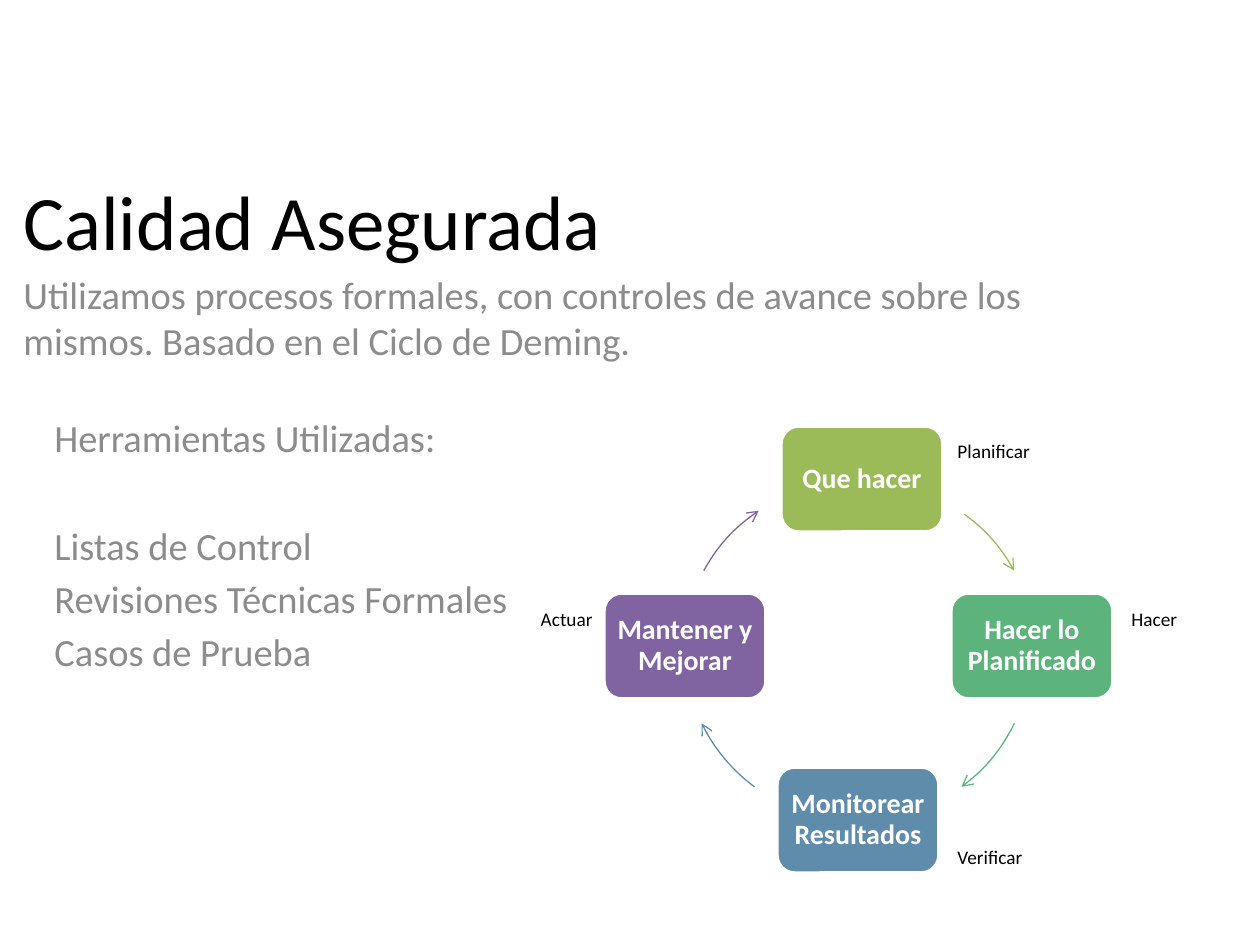
from lxml.etree import SubElement
from pptx import Presentation
from pptx.dml.color import RGBColor
from pptx.enum.shapes import MSO_SHAPE
from pptx.enum.text import MSO_ANCHOR, PP_ALIGN
from pptx.oxml.ns import qn
from pptx.util import Emu, Pt

PX_PER_INCH = 126
FONT = "Calibri"

BLACK = RGBColor(0x00, 0x00, 0x00)
WHITE = RGBColor(0xFF, 0xFF, 0xFF)
GRAY = RGBColor(0x8C, 0x8C, 0x8C)
GREEN = RGBColor(0x9B, 0xBB, 0x59)
TEAL = RGBColor(0x5C, 0xB3, 0x7C)
BLUE = RGBColor(0x60, 0x8C, 0xAB)
PURPLE = RGBColor(0x80, 0x64, 0xA2)

STEP_WIDTH, STEP_HEIGHT = 162, 106
STEP_INSET = 8
ARC_RADIUS = 174
LABEL_WIDTH, LABEL_HEIGHT = 134, 37

# text, left, top, colour
STEPS = [
    ("Que hacer", 781, 426, GREEN),
    ("Hacer lo Planificado", 951, 593, TEAL),
    ("Monitorear Resultados", 777, 767, BLUE),
    ("Mantener y Mejorar", 604, 593, PURPLE),
]
# centre x, centre y, start and end in degrees clockwise from the right, colour
ARCS = [
    (862, 655, 306, 331, GREEN),
    (858, 647, 26, 53.5, TEAL),
    (858, 647, 126.5, 154, BLUE),
    (856, 655, 209, 236, PURPLE),
]
# text, left, top, alignment
LABELS = [
    ("Planificar", 945, 433, PP_ALIGN.LEFT),
    ("Hacer", 1119, 601, PP_ALIGN.LEFT),
    ("Verificar", 945, 839, PP_ALIGN.LEFT),
    ("Actuar", 471, 601, PP_ALIGN.RIGHT),
]
# text, space before in points
TOOLS = [
    ("Herramientas Utilizadas:", 0),
    ("Listas de Control", 35),
    ("Revisiones Técnicas Formales", 4),
    ("Casos de Prueba", 4),
]


def px(*lengths):
    return [Emu(round(length * 914400 / PX_PER_INCH)) for length in lengths]


def add_span(para, text, size, color, bold=False):
    span = para.add_run()
    span.text = text
    span.font.name = FONT
    span.font.size = Pt(size)
    span.font.color.rgb = color
    span.font.bold = bold


def add_text(page, area, lines, size, color, align=PP_ALIGN.LEFT, anchor=MSO_ANCHOR.TOP):
    """Add a text box; each line is a text and its space before."""
    frame = page.shapes.add_textbox(*px(*area)).text_frame
    frame.word_wrap = True
    frame.vertical_anchor = anchor
    for index, (text, space_before) in enumerate(lines):
        para = frame.add_paragraph() if index else frame.paragraphs[0]
        para.alignment = align
        para.space_before = Pt(space_before)
        add_span(para, text, size, color)


def add_step(page, text, left, top, color):
    box = page.shapes.add_shape(
        MSO_SHAPE.ROUNDED_RECTANGLE, *px(left, top, STEP_WIDTH, STEP_HEIGHT)
    )
    box.shadow.inherit = False
    box.fill.solid()
    box.fill.fore_color.rgb = color
    box.line.color.rgb = WHITE
    box.line.width = Pt(2)
    frame = box.text_frame
    frame.word_wrap = True
    frame.vertical_anchor = MSO_ANCHOR.MIDDLE
    inset = px(STEP_INSET)[0]
    frame.margin_left = frame.margin_right = inset
    frame.margin_top = frame.margin_bottom = inset
    para = frame.paragraphs[0]
    para.alignment = PP_ALIGN.CENTER
    para.line_spacing = 0.9
    add_span(para, text, 16, WHITE, bold=True)


def add_arc_arrow(page, center_x, center_y, start, end, color):
    arc = page.shapes.add_shape(
        MSO_SHAPE.ARC,
        *px(center_x - ARC_RADIUS, center_y - ARC_RADIUS, 2 * ARC_RADIUS, 2 * ARC_RADIUS),
    )
    arc.shadow.inherit = False
    arc.fill.background()
    # Angles are stored in 1/60000 degree, adjustments in 1/100000.
    arc.adjustments[0] = start * 0.6
    arc.adjustments[1] = end * 0.6
    arc.line.color.rgb = color
    arc.line.width = Pt(0.75)
    SubElement(arc.line._get_or_add_ln(), qn("a:tailEnd"), type="arrow")


def main():
    deck = Presentation()
    deck.slide_width, deck.slide_height = px(1260, 945)
    page = deck.slides.add_slide(deck.slide_layouts[6])

    add_text(page, (11, 165, 698, 110), [("Calidad Asegurada", 0)], 44, BLACK,
             anchor=MSO_ANCHOR.MIDDLE)
    summary = ("Utilizamos procesos formales, con controles de avance sobre los mismos. "
               "Basado en el Ciclo de Deming.")
    add_text(page, (11, 265, 1155, 536), [(summary, 0)], 22, GRAY)
    for step, arc in zip(STEPS, ARCS):
        add_step(page, *step)
        add_arc_arrow(page, *arc)
    for text, left, top, align in LABELS:
        add_text(page, (left, top, LABEL_WIDTH, LABEL_HEIGHT), [(text, 0)], 11, BLACK, align)
    add_text(page, (42, 408, 496, 536), TOOLS, 22, GRAY)

    deck.save("out.pptx")


if __name__ == "__main__":
    main()
